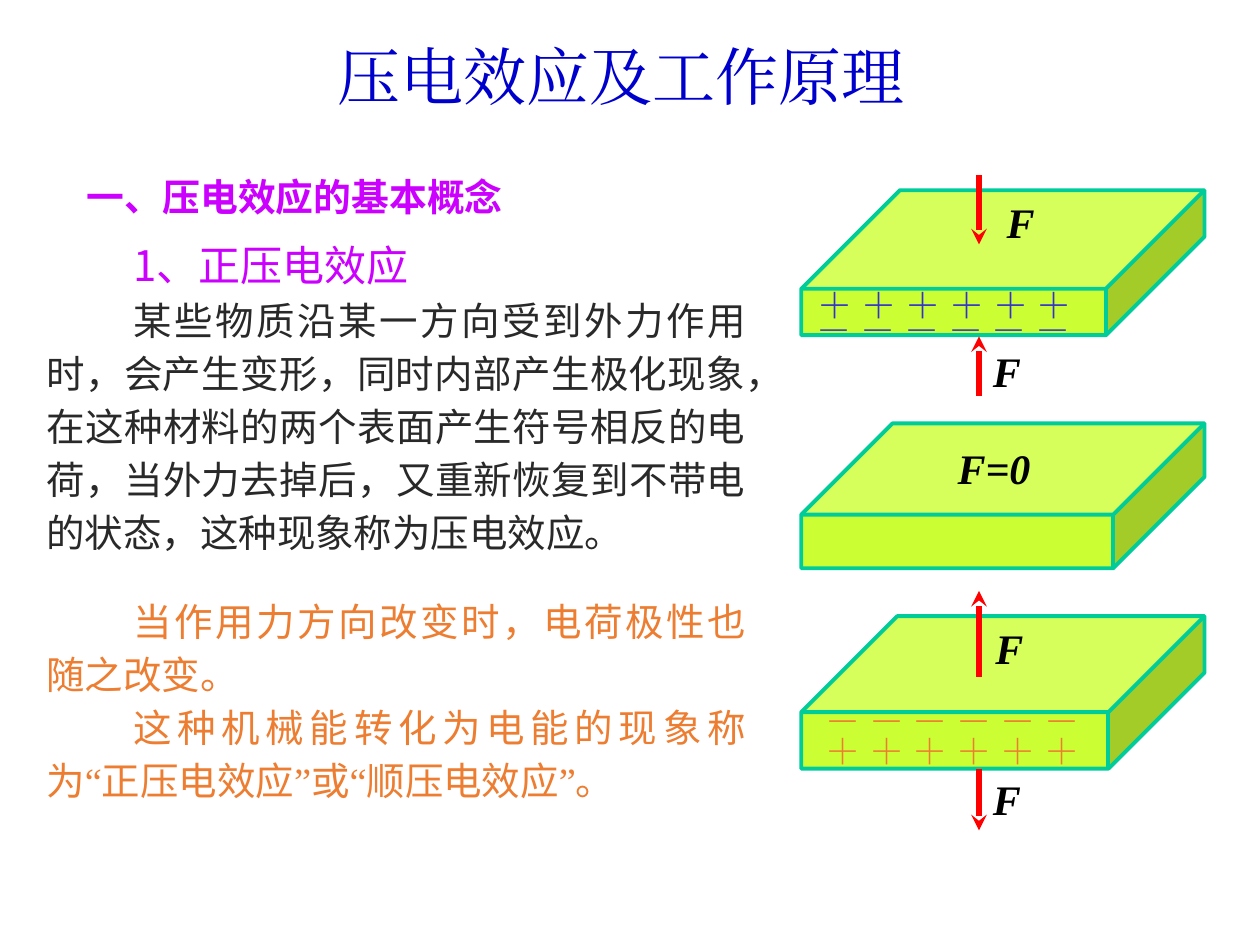
from pptx import Presentation
from pptx.dml.color import RGBColor
from pptx.enum.shapes import MSO_CONNECTOR as Connector, MSO_SHAPE as Shape
from pptx.enum.text import MSO_ANCHOR as Anchor, PP_ALIGN as Align
from pptx.oxml.ns import qn
from pptx.util import Inches, Pt
from lxml.etree import SubElement

SANS = "Noto Sans CJK SC"
SERIF = "Times New Roman"
BLUE = RGBColor(0x00, 0x00, 0xCC)
PURPLE = RGBColor(0xCC, 0x00, 0xFF)
DARK = RGBColor(0x29, 0x29, 0x29)
ORANGE = RGBColor(0xED, 0x7D, 0x31)
INDIGO = RGBColor(0x33, 0x33, 0xCC)
BLACK = RGBColor(0x00, 0x00, 0x00)
RED = RGBColor(0xFF, 0x00, 0x00)
LIME = RGBColor(0xCC, 0xFF, 0x33)
TEAL = RGBColor(0x00, 0xCC, 0x99)

PADDING = (0.1, 0.05, 0.1, 0.05)
BODY_LEFT, BODY_WIDTH = 0.27, 5.75
CUBE_LEFT, CUBE_WIDTH = 6.36, 3.2
ARROW_X = 7.77
PLUSES = " ".join("＋" * 6)
MINUSES = " ".join("－" * 6)


def box(*lengths):
    return [Inches(length) for length in lengths]


def write(paragraph, text, font=SANS, size=22, color=BLACK, bold=False,
          italic=False, align=None, spacing=None, indent=0):
    paragraph.alignment = align
    paragraph.line_spacing = spacing
    if indent:
        paragraph._p.get_or_add_pPr().set("indent", str(Inches(indent)))
    run = paragraph.add_run()
    run.text = text
    run.font.name = font
    run.font.size = Pt(size)
    run.font.bold = bold
    run.font.italic = italic
    run.font.color.rgb = color
    SubElement(run._r.get_or_add_rPr(), qn("a:ea")).set("typeface", font)


def prepare_frame(frame, insets=PADDING, anchor=Anchor.TOP):
    frame.word_wrap = True
    frame.vertical_anchor = anchor
    (frame.margin_left, frame.margin_top,
     frame.margin_right, frame.margin_bottom) = box(*insets)
    return frame


def add_text(shapes, place, text, insets=PADDING, **style):
    frame = prepare_frame(shapes.add_textbox(*box(*place)).text_frame, insets)
    write(frame.paragraphs[0], text, **style)
    return frame


def add_label(shapes, left, top, text="F"):
    add_text(shapes, (left, top, 0.63, 0.38), text, insets=(0, 0, 0, 0), font=SERIF,
             size=24, bold=True, italic=True, align=Align.JUSTIFY)


def add_charges(shapes, place, signs, color, bold=False):
    add_text(shapes, place, signs, insets=(0, 0, 0, 0), font=SERIF, size=20,
             color=color, bold=bold, align=Align.CENTER)


def add_cube(shapes, top, height, depth):
    cube = shapes.add_shape(Shape.CUBE, *box(CUBE_LEFT, top, CUBE_WIDTH, height))
    cube.adjustments[0] = depth
    cube.shadow.inherit = False
    cube.fill.solid()
    cube.fill.fore_color.rgb = LIME
    cube.line.color.rgb = TEAL
    cube.line.width = Pt(2.25)


def add_force(shapes, start, end):
    arrow = shapes.add_connector(Connector.STRAIGHT, *box(ARROW_X, start, ARROW_X, end))
    arrow.line.color.rgb = RED
    arrow.line.width = Pt(3)
    SubElement(arrow.line._get_or_add_ln(), qn("a:tailEnd")).set("type", "stealth")
    SubElement(arrow._element.spPr, qn("a:effectLst"))


def add_headings(slide):
    section = slide.shapes.title
    section.left, section.top, section.width, section.height = box(0.59, 1.39, 8.98, 0.39)
    frame = prepare_frame(section.text_frame, anchor=Anchor.MIDDLE)
    write(frame.paragraphs[0], "一、压电效应的基本概念", size=21.6, color=PURPLE,
          bold=True, align=Align.LEFT, spacing=0.85)
    add_text(slide.shapes, (0.98, 0.25, 8.03, 0.7), "压电效应及工作原理 ",
             font=SERIF, size=36, color=BLUE, align=Align.CENTER)


def add_body(slide):
    style = dict(align=Align.JUSTIFY, spacing=1.15, indent=0.69)
    frame = add_text(slide.shapes, (BODY_LEFT, 1.79, BODY_WIDTH, 2.67), "1、正压电效应",
                     size=24, color=PURPLE, **style)
    write(frame.add_paragraph(),
          "某些物质沿某一方向受到外力作用时，会产生变形，同时内部产生极化现象，"
          "在这种材料的两个表面产生符号相反的电荷，当外力去掉后，又重新恢复到不带电的状态，"
          "这种现象称为压电效应。", color=DARK, **style)

    frame = add_text(slide.shapes, (BODY_LEFT, 4.64, BODY_WIDTH, 1.79),
                     "当作用力方向改变时，电荷极性也随之改变。", color=ORANGE, **style)
    naming = frame.add_paragraph()
    for text in ("这种机械能转化为电能的现象称为", "“", "正压电效应", "”", "或",
                 "“", "顺压电效应", "”", "。"):
        write(naming, text, font=SERIF if text in "“”" else SANS, color=ORANGE, **style)


def add_compression(slide):
    shapes = slide.shapes.add_group_shape().shapes
    add_cube(shapes, 1.51, 1.15, 0.68)
    add_label(shapes, 7.99, 1.56)
    add_force(shapes, 1.39, 1.94)
    add_force(shapes, 3.14, 2.67)
    add_label(shapes, 7.88, 2.74)
    add_charges(shapes, (6.1, 2.25, 2.8, 0.34), PLUSES, INDIGO, bold=True)
    add_charges(shapes, (6.25, 2.45, 2.48, 0.3), MINUSES, INDIGO)


def add_rest(slide):
    shapes = slide.shapes.add_group_shape().shapes
    add_cube(shapes, 3.36, 1.15, 0.63)
    add_label(shapes, 7.6, 3.51, "F=0")


def add_tension(slide):
    shapes = slide.shapes.add_group_shape().shapes
    add_cube(shapes, 4.89, 1.21, 0.63)
    add_label(shapes, 7.9, 4.94)
    add_charges(shapes, (6.28, 5.55, 2.56, 0.46), MINUSES, ORANGE, bold=True)
    add_charges(shapes, (6.16, 5.79, 2.8, 0.36), PLUSES, ORANGE)
    add_force(shapes, 5.37, 4.69)
    add_force(shapes, 6.1, 6.59)
    add_label(shapes, 7.88, 6.14)


def main():
    presentation = Presentation()
    presentation.slide_width, presentation.slide_height = box(10, 7.5)
    slide = presentation.slides.add_slide(presentation.slide_layouts[5])
    add_headings(slide)
    add_body(slide)
    add_compression(slide)
    add_rest(slide)
    add_tension(slide)
    presentation.save("out.pptx")


if __name__ == "__main__":
    main()
